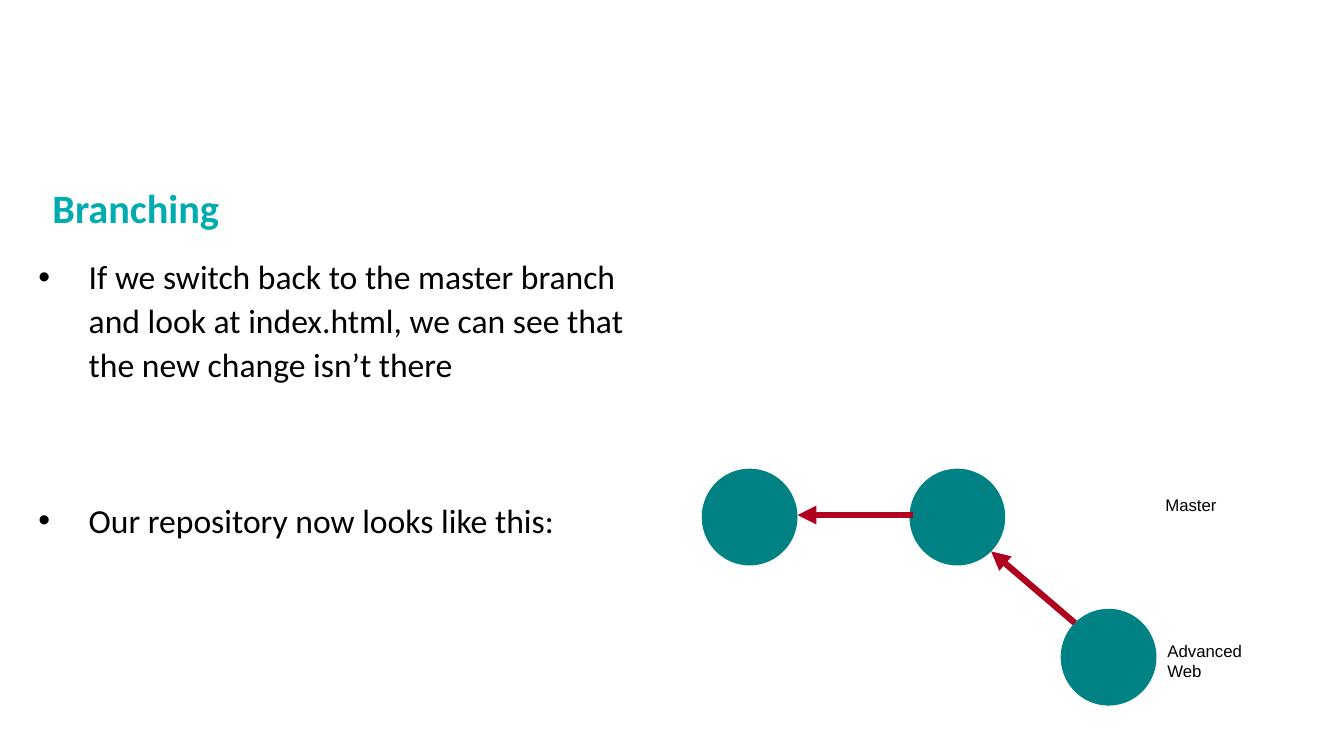
from lxml.etree import SubElement as Sub
from pptx import Presentation
from pptx.dml.color import RGBColor as RGB
from pptx.enum.shapes import MSO_CONNECTOR as LINE, MSO_SHAPE as SHAPE
from pptx.enum.text import MSO_ANCHOR as ANCHOR, MSO_AUTO_SIZE as FIT, PP_ALIGN as ALIGN
from pptx.oxml.ns import qn
from pptx.util import Inches, Pt

HUES = {"title": "00ACAF", "text": "000000", "node": "008183", "arrow": "B0001F"}

deck = Presentation()
deck.slide_width, deck.slide_height = Inches(13.33), Inches(7.5)
slide = deck.slides.add_slide(deck.slide_layouts[1])
shapes = slide.shapes


def place(shape, *box):
    shape.left, shape.top, shape.width, shape.height = map(Inches, box)
    return shape.text_frame


def write(para, text, size=24, font="Calibri", hue="text", bold=False,
          lead=1.0, before=0, after=0, bullet=None):
    para.text = text
    para.alignment = ALIGN.LEFT
    para.line_spacing = lead
    para.space_before, para.space_after = Pt(before), Pt(after)
    if bullet:
        props = para._p.get_or_add_pPr()
        props.set("marL", str(Inches(0.5)))
        props.set("indent", str(-Inches(0.5)))
        Sub(props, qn("a:buFont"), typeface="Arial")
        Sub(props, qn("a:buChar"), char=bullet)
    face = para.runs[0].font
    face.name, face.size, face.bold = font, Pt(size), bold
    face.color.rgb = RGB.from_string(HUES[hue])


# Title
frame = place(shapes.title, 0.42, 1.81, 11.5, 0.55)
frame.auto_size, frame.vertical_anchor = FIT.NONE, ANCHOR.MIDDLE
write(frame.paragraphs[0], "Branching", size=28.8, hue="title", bold=True, lead=0.9)

# Bullet list, with a gap of two lines between the points
frame = place(slide.placeholders[1], 0.28, 2.46, 6.23, 4.05)
frame.auto_size, frame.vertical_anchor = FIT.NONE, ANCHOR.TOP
points = [
    ("If we switch back to the master branch and look at index.html, "
     "we can see that the new change isn’t there", 0),
    ("Our repository now looks like this:", 74.4),
]
for i, (text, gap) in enumerate(points):
    para = frame.add_paragraph() if i else frame.paragraphs[0]
    write(para, text, lead=Pt(31.2), before=gap, after=6, bullet="•")

# Commits
for left, top in [(6.96, 4.65), (9.02, 4.65), (10.52, 6.04)]:
    node = shapes.add_shape(SHAPE.OVAL, *map(Inches, (left, top, 0.95, 0.96)))
    node.shadow.inherit = False
    node.fill.solid()
    node.fill.fore_color.rgb = RGB.from_string(HUES["node"])
    node.line.fill.background()

# Arrows to the parent commits
for ends in [(9.06, 5.11, 7.91, 5.11), (10.66, 6.18, 9.83, 5.47)]:
    arrow = shapes.add_connector(LINE.STRAIGHT, *map(Inches, ends))
    arrow.line.color.rgb = RGB.from_string(HUES["arrow"])
    arrow.line.width = Pt(4.5)
    Sub(arrow.line._get_or_add_ln(), qn("a:tailEnd"), type="triangle")
    Sub(arrow._element.spPr, qn("a:effectLst"))

# Branch labels
for text, *box in [("Master", 11.46, 4.86, 0.97, 0.3),
                   ("Advanced Web", 11.48, 6.31, 0.97, 0.5)]:
    frame = shapes.add_textbox(*map(Inches, box)).text_frame
    frame.word_wrap, frame.auto_size = True, FIT.SHAPE_TO_FIT_TEXT
    write(frame.paragraphs[0], text, size=12, font="Arial")

deck.save("out.pptx")
